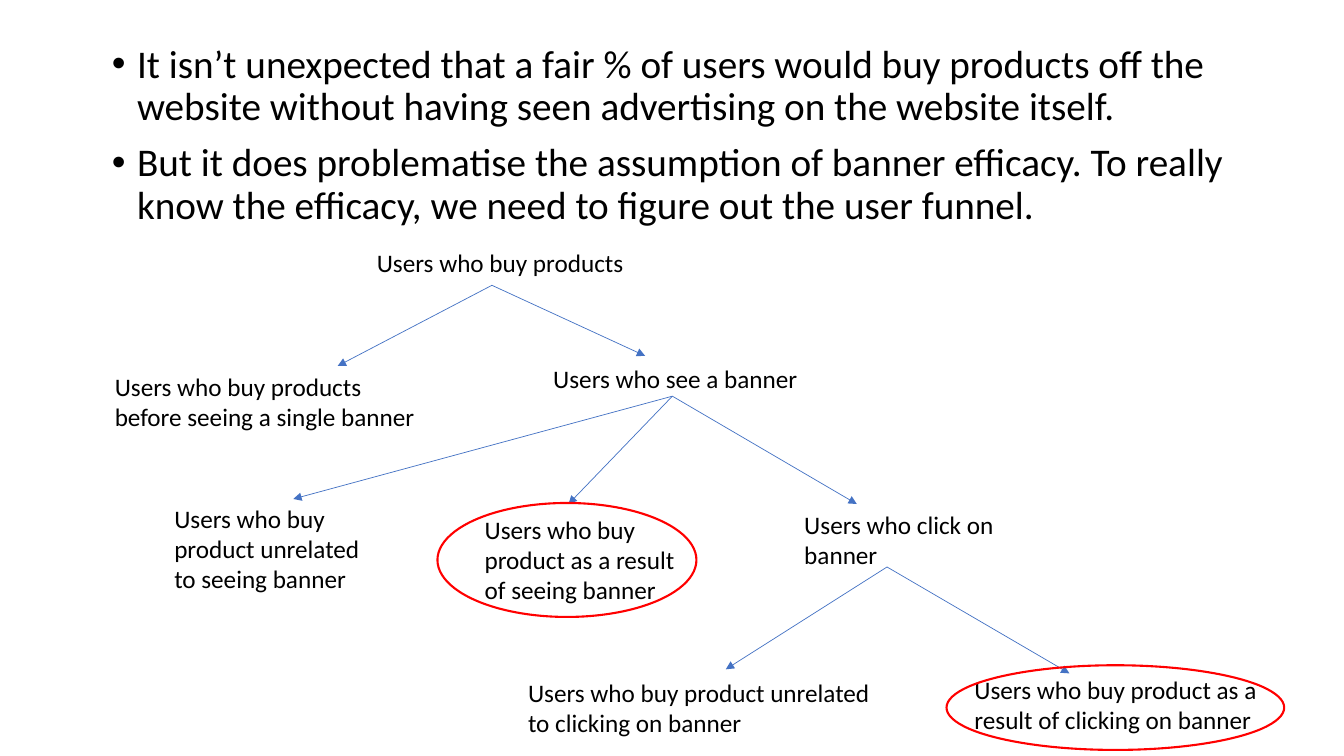
from lxml.etree import SubElement
from pptx import Presentation
from pptx.dml.color import RGBColor
from pptx.enum.shapes import MSO_CONNECTOR, MSO_SHAPE
from pptx.enum.text import MSO_ANCHOR, MSO_AUTO_SIZE
from pptx.oxml.ns import qn
from pptx.util import Pt

BLACK = RGBColor(0x00, 0x00, 0x00)
BLUE = RGBColor(0x44, 0x72, 0xC4)
RED = RGBColor(0xFF, 0x00, 0x00)
FONT = "Calibri"

BULLETS = [
    "It isn’t unexpected that a fair % of users would buy products off the "
    "website without having seen advertising on the website itself.",
    "But it does problematise the assumption of banner efficacy. To really "
    "know the efficacy, we need to figure out the user funnel.",
]

# Funnel steps: text, left, top, width, height in points
STEPS = [
    ("Users who buy products", 262.1, 172.8, 229, 29),
    ("Users who buy products before seeing a single banner", 74.9, 261.4, 242, 51),
    ("Users who see a banner", 388.1, 255.6, 229, 29),
    ("Users who buy product unrelated to seeing banner", 117.4, 355.7, 158.4, 72.7),
    ("Users who buy product as a result of seeing banner", 339.1, 363.6, 158.4, 72.7),
    ("Users who click on banner", 567.4, 360, 158.4, 51),
    ("Users who buy product unrelated to clicking on banner", 370.1, 480.2, 265.7, 51),
    ("Users who buy product as a result of clicking on banner", 689, 478.1, 225.4, 51),
]

# Each fork: starting point and the points its arrows reach
FORKS = [
    ((351.4, 203.8), [(241.2, 261.4), (460.8, 254.2)]),
    ((480.3, 283), [(209.5, 356.4), (406.1, 360), (612, 360)]),
    ((633.6, 405), [(518.4, 478.1), (763.9, 481)]),
]

# Highlighted outcomes: left, top, width, height
RINGS = [(676.1, 475.2, 241.2, 60.5), (312.5, 359.3, 185, 81.4)]


def format_text(para, size):
    for span in para.runs:
        span.font.name = FONT
        span.font.size = Pt(size)
        span.font.color.rgb = BLACK


def fill_body(body):
    body.left, body.top = Pt(72.7), Pt(28.1)
    body.width, body.height = Pt(828), Pt(342.7)
    frame = body.text_frame
    frame.text = "\n".join(BULLETS)
    frame.vertical_anchor = MSO_ANCHOR.TOP
    frame.auto_size = MSO_AUTO_SIZE.NONE
    for para in frame.paragraphs:
        para.line_spacing = 0.9
        para.space_before = Pt(10)
        format_text(para, 28)
        properties = para._p.get_or_add_pPr()
        properties.set("marL", str(Pt(18)))
        properties.set("indent", str(Pt(-18)))
        SubElement(properties, qn("a:buFont"), typeface="Arial")
        SubElement(properties, qn("a:buChar"), char="•")


def add_step(page, text, *bounds):
    box = page.shapes.add_textbox(*map(Pt, bounds))
    frame = box.text_frame
    frame.word_wrap = True
    frame.auto_size = MSO_AUTO_SIZE.SHAPE_TO_FIT_TEXT
    frame.text = text
    format_text(frame.paragraphs[0], 18)


def add_arrow(page, start, end):
    arrow = page.shapes.add_connector(MSO_CONNECTOR.STRAIGHT, *map(Pt, start + end))
    arrow.line.color.rgb = BLUE
    arrow.line.width = Pt(0.5)
    SubElement(arrow.line._get_or_add_ln(), qn("a:tailEnd"), type="triangle")
    SubElement(arrow._element.spPr, qn("a:effectLst"))


def add_ring(page, *bounds):
    ring = page.shapes.add_shape(MSO_SHAPE.OVAL, *map(Pt, bounds))
    ring.shadow.inherit = False
    ring.fill.background()
    ring.line.color.rgb = RED
    ring.line.width = Pt(1.5)


def main():
    deck = Presentation()
    deck.slide_width, deck.slide_height = Pt(960), Pt(540)
    page = deck.slides.add_slide(deck.slide_layouts[1])

    # The slide has bullets but no title
    title = page.shapes.title._element
    title.getparent().remove(title)
    fill_body(page.placeholders[1])

    # User funnel
    for step in STEPS:
        add_step(page, *step)
    for start, ends in FORKS:
        for end in ends:
            add_arrow(page, start, end)
    for ring in RINGS:
        add_ring(page, *ring)

    deck.save("out.pptx")


if __name__ == "__main__":
    main()
